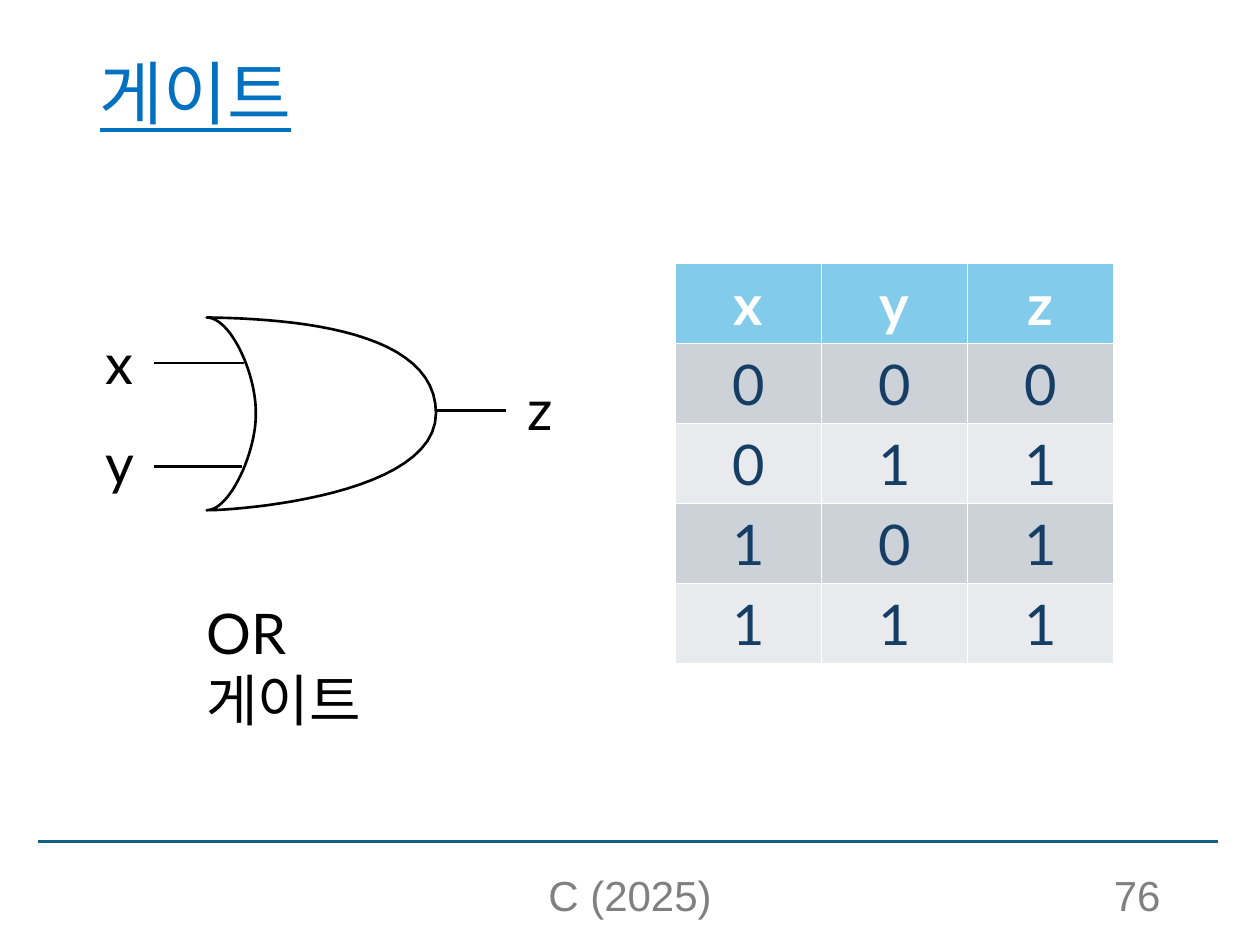
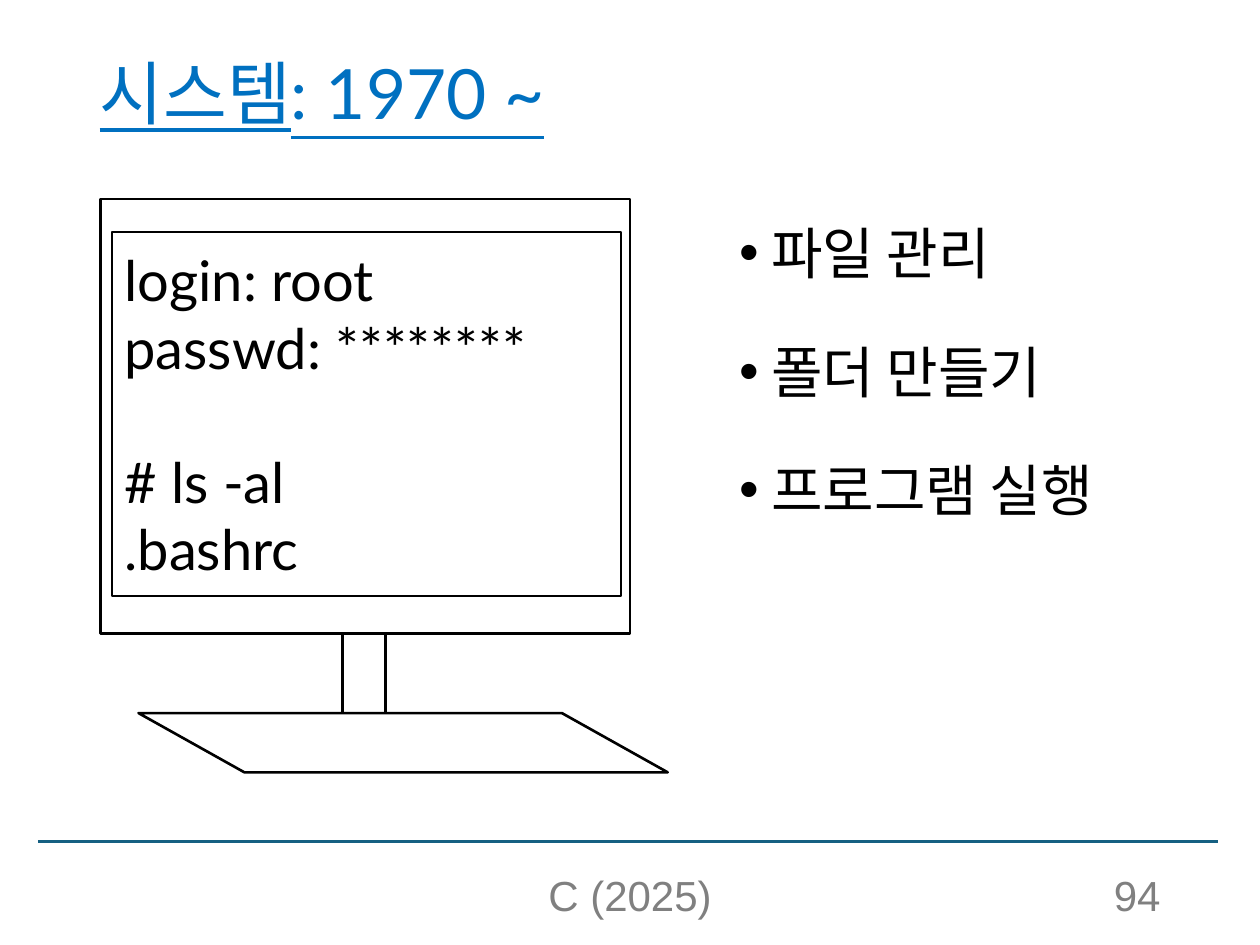
from lxml import etree
from pptx import Presentation
from pptx.dml.color import RGBColor
from pptx.enum import shapes as kinds, text as enums
from pptx.oxml import ns
from pptx.util import Inches, Pt

BLACK = RGBColor(0x00, 0x00, 0x00)
WHITE = RGBColor(0xFF, 0xFF, 0xFF)
BLUE = RGBColor(0x00, 0x70, 0xC0)
TEAL = RGBColor(0x15, 0x60, 0x82)
GRAY = RGBColor(0x80, 0x80, 0x80)
SKY = RGBColor(0x83, 0xCB, 0xEB)
NAVY = RGBColor(0x16, 0x3E, 0x64)
DARK = RGBColor(0xCC, 0xD2, 0xD8)
LIGHT = RGBColor(0xE8, 0xEA, 0xED)

LEFT, CENTER, RIGHT = (enums.PP_ALIGN.LEFT, enums.PP_ALIGN.CENTER,
                       enums.PP_ALIGN.RIGHT)
TOP, MIDDLE, BOTTOM = (enums.MSO_ANCHOR.TOP, enums.MSO_ANCHOR.MIDDLE,
                       enums.MSO_ANCHOR.BOTTOM)


def inches(*sizes):
    return [Inches(size) for size in sizes]


def place(shape, left, top, width, height):
    shape.left, shape.top, shape.width, shape.height = inches(
        left, top, width, height)


def add_bullet(para):
    props = para._p.get_or_add_pPr()
    props.set("marL", str(Inches(0.25)))
    props.set("indent", str(Inches(-0.25)))
    etree.SubElement(props, ns.qn("a:buFont")).set("typeface", "Arial")
    etree.SubElement(props, ns.qn("a:buChar")).set("char", "•")


def write(frame, words, size=32, font="Lato", color=BLACK, align=LEFT,
          anchor=TOP, wrap=True, bold=False, line=False, bullet=False,
          pitch=1.0, gaps=()):
    frame.auto_size = enums.MSO_AUTO_SIZE.NONE
    frame.word_wrap = wrap
    frame.vertical_anchor = anchor
    for index, item in enumerate(words.split("\n")):
        para = frame.paragraphs[0] if index == 0 else frame.add_paragraph()
        para.text = item
        para.alignment = align
        para.line_spacing = pitch
        para.space_before = Pt(gaps[index] if gaps else 0)
        if bullet:
            add_bullet(para)
        for run in para.runs:
            run.font.name = font
            run.font.size = Pt(size)
            run.font.color.rgb = color
            run.font.bold = bold
            run.font.underline = line


def add_label(slide, words, left, top, width, height=0.64, **style):
    box = slide.shapes.add_textbox(*inches(left, top, width, height))
    write(box.text_frame, words, **style)


def add_line(slide, start, end, color=BLACK):
    line = slide.shapes.add_connector(
        kinds.MSO_CONNECTOR.STRAIGHT, *inches(*start, *end))
    line.line.color.rgb = color
    line.line.width = Pt(1.5)
    etree.SubElement(line._element.spPr, ns.qn("a:effectLst"))


def outline(shape, fill=None):
    shape.shadow.inherit = False
    if fill is None:
        shape.fill.background()
    else:
        shape.fill.solid()
        shape.fill.fore_color.rgb = fill
    shape.line.color.rgb = BLACK
    shape.line.width = Pt(1.5)


def add_form(slide, kind, left, top, width, height):
    shape = slide.shapes.add_shape(kind, *inches(left, top, width, height))
    outline(shape)
    return shape


def add_slide(deck, layout, title, number):
    slide = deck.slides.add_slide(deck.slide_layouts[layout])
    add_line(slide, (0.3, 6.68), (9.67, 6.68), TEAL)
    place(slide.shapes.title, 0.69, 0.4, 9.31, 0.74)
    write(slide.shapes.title.text_frame, title, size=39.6, color=BLUE,
          anchor=MIDDLE, line=True, pitch=0.9)
    foot = dict(size=24, font="Arial", color=GRAY, anchor=BOTTOM)
    add_label(slide, "C (2025)", 3.31, 6.95, 3.38, 0.4, align=CENTER, **foot)
    add_label(slide, number, 7.06, 6.95, 2.25, 0.4, align=RIGHT, **foot)
    return slide


def trace(curve, steps=24):
    for step in range(1, steps + 1):
        t = step / steps
        parts = ((1 - t) ** 3, 3 * t * (1 - t) ** 2,
                 3 * t ** 2 * (1 - t), t ** 3)
        yield tuple(Inches(sum(part * point[axis]
                               for part, point in zip(parts, curve)))
                    for axis in (0, 1))


def add_gate(slide):
    nose, low, waist, high = (3.46, 3.28), (1.64, 4.05), (2.03, 3.27), (1.64, 2.52)
    curves = [
        (nose, (3.46, 3.93), (1.9, 4.05), low),
        (low, (1.83, 4.05), (2.04, 3.57), waist),
        (waist, (2.03, 2.96), (1.83, 2.52), high),
        (high, (2.37, 2.53), (3.46, 2.63), nose),
    ]
    path = slide.shapes.build_freeform(*inches(*nose))
    path.add_line_segments(
        [point for curve in curves for point in trace(curve)], close=True)
    outline(path.convert_to_shape(), WHITE)


def add_truth(slide, rows):
    table = slide.shapes.add_table(
        len(rows), len(rows[0]), *inches(5.36, 2.09, 3.48, 2.9)).table
    for row in table.rows:
        row.height = Inches(0.58)
    for r, row in enumerate(rows):
        head = r == 0
        for c, value in enumerate(row):
            cell = table.cell(r, c)
            cell.fill.solid()
            cell.fill.fore_color.rgb = SKY if head else DARK if r % 2 else LIGHT
            write(cell.text_frame, value, align=CENTER, bold=head,
                  color=WHITE if head else NAVY)


def draw_gate(deck):
    slide = add_slide(deck, 5, "게이트", "76")
    add_gate(slide)
    for start, end, y in ((1.22, 1.94, 2.88), (1.22, 1.92, 3.7),
                          (3.46, 4.02, 3.26)):
        add_line(slide, (start, y), (end, y))
    for name, left, top in (("x", 0.74, 2.56), ("y", 0.74, 3.35),
                            ("z", 4.09, 2.92)):
        add_label(slide, name, left, top, 0.41, wrap=False)
    add_label(slide, "OR\v게이트", 1.54, 4.7, 2.24)
    add_truth(slide, ["xyz", "000", "011", "101", "111"])


def draw_shell(deck):
    slide = add_slide(deck, 1, "시스템: 1970 ~", "94")
    add_form(slide, kinds.MSO_SHAPE.RECTANGLE, 0.8, 1.58, 4.2, 3.45)
    for x in (2.72, 3.06):
        add_line(slide, (x, 5.66), (x, 5.03))
    base = add_form(slide, kinds.MSO_SHAPE.FLOWCHART_DATA, 1.1, 5.66, 4.2, 0.47)
    base._element.spPr.get_or_add_xfrm().set("flipH", "1")
    body = slide.placeholders[1]
    place(body, 5.77, 1.42, 3.54, 4.71)
    write(body.text_frame, "파일 관리\n폴더 만들기\n프로그램 실행",
          bullet=True, pitch=1.5, gaps=(0, 10, 10))
    screen = add_form(slide, kinds.MSO_SHAPE.RECTANGLE, 0.89, 1.84, 4.04, 2.89)
    write(screen.text_frame, "login: root\npasswd: ********\n# ls -al\n.bashrc",
          anchor=MIDDLE, gaps=(0, 0, 38.4, 0))


def main():
    deck = Presentation()
    deck.slide_width, deck.slide_height = inches(10, 7.5)
    draw_gate(deck)
    draw_shell(deck)
    deck.save("out.pptx")


if __name__ == "__main__":
    main()
